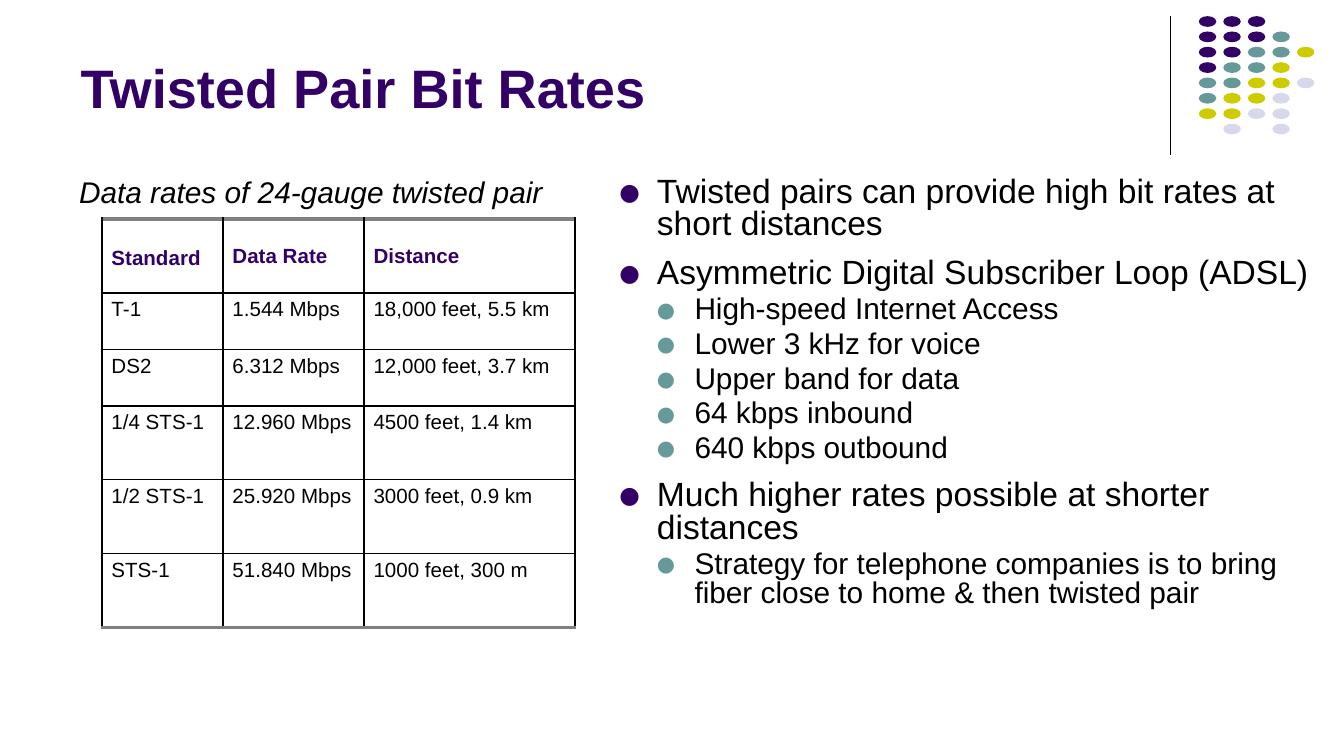
"""Build the slide on twisted pair bit rates."""
import pptx
import pptx.util
import pptx.dml.color
import pptx.enum.shapes
import pptx.enum.text
import pptx.oxml
import pptx.oxml.ns
from lxml import etree

Inches, Pt = pptx.util.Inches, pptx.util.Pt
RGBColor = pptx.dml.color.RGBColor
ANCHOR = pptx.enum.text.MSO_ANCHOR

PURPLE = RGBColor(0x33, 0x00, 0x66)
TEAL = RGBColor(0x66, 0x99, 0x99)
OLIVE = RGBColor(0xCC, 0xCC, 0x00)
LILAC = RGBColor(0xD8, 0xD8, 0xEC)
BLACK = RGBColor(0x00, 0x00, 0x00)
GRAY = RGBColor(0x80, 0x80, 0x80)

TITLE = "Twisted Pair Bit Rates"
CAPTION = "Data rates of 24-gauge twisted pair"
RATES = [
    ("Standard", "Data Rate", "Distance"),
    ("T-1", "1.544 Mbps", "18,000 feet, 5.5 km"),
    ("DS2", "6.312 Mbps", "12,000 feet, 3.7 km"),
    ("1/4 STS-1", "12.960 Mbps", "4500 feet, 1.4 km"),
    ("1/2 STS-1", "25.920 Mbps", "3000 feet, 0.9 km"),
    ("STS-1", "51.840 Mbps", "1000 feet, 300 m"),
]
COLUMN_WIDTHS = [0.9, 1.05, 1.57]
ROW_HEIGHTS = [0.55, 0.42, 0.42, 0.55, 0.55, 0.55]
POINTS = [
    (0, "Twisted pairs can provide high bit rates at short distances"),
    (0, "Asymmetric Digital Subscriber Loop (ADSL)"),
    (1, "High-speed Internet Access"),
    (1, "Lower 3 kHz for voice"),
    (1, "Upper band for data"),
    (1, "64 kbps inbound"),
    (1, "640 kbps outbound"),
    (0, "Much higher rates possible at shorter distances"),
    (1, "Strategy for telephone companies is to bring fiber close to home & then twisted pair"),
]
LEVELS = [
    {"size": 18, "before": 9, "bullet": PURPLE},
    {"size": 16, "before": 3.2, "bullet": TEAL},
]
INDENT = 0.28
DOT_ROWS = ["PPP", "PPPT", "PPTTO", "PTTO", "TTOOL", "TOOL", "OOLL", " L L"]
DOT_COLORS = {"P": PURPLE, "T": TEAL, "O": OLIVE, "L": LILAC}
DOT_LEFT, DOT_TOP = 8.92, 0.12
DOT_PITCH_X, DOT_PITCH_Y = 0.73 / 4, 0.8 / 7


def set_font(paragraph, size, color, bold=False, italic=False):
    font = paragraph.font
    font.name, font.size = "Arial", Pt(size)
    font.bold, font.italic = bold, italic
    font.color.rgb = color


def add_text_box(slide, left, top, width, height):
    frame = slide.shapes.add_textbox(*map(Inches, (left, top, width, height))).text_frame
    frame.word_wrap = True
    return frame


def add_bullet(paragraph, level):
    properties = paragraph._p.get_or_add_pPr()
    properties.set("marL", str(Inches(INDENT * (level + 1))))
    properties.set("indent", str(-Inches(INDENT)))
    qn = pptx.oxml.ns.qn
    color = etree.SubElement(properties, qn("a:buClr"))
    etree.SubElement(color, qn("a:srgbClr"), val=str(LEVELS[level]["bullet"]))
    etree.SubElement(properties, qn("a:buSzPct"), val="70000")
    etree.SubElement(properties, qn("a:buFont"), typeface="Noto Sans Symbols")
    etree.SubElement(properties, qn("a:buChar"), char="●")


def add_borders(cell, top, bottom):
    properties = cell._tc.get_or_add_tcPr()
    thin = (BLACK, 1)
    for side, (color, width) in zip("LRTB", (thin, thin, top, bottom)):
        properties.append(pptx.oxml.parse_xml(
            f'<a:ln{side} {pptx.oxml.ns.nsdecls("a")} w="{Pt(width)}">'
            f'<a:solidFill><a:srgbClr val="{color}"/></a:solidFill></a:ln{side}>'))


def add_decoration(slide):
    divider = slide.shapes.add_connector(
        pptx.enum.shapes.MSO_CONNECTOR.STRAIGHT,
        Inches(8.71), Inches(0.12), Inches(8.71), Inches(1.15))
    divider.line.color.rgb = BLACK
    divider.line.width = Pt(0.75)
    etree.SubElement(divider._element.spPr, pptx.oxml.ns.qn("a:effectLst"))
    for row, letters in enumerate(DOT_ROWS):
        for column, letter in enumerate(letters):
            if letter in DOT_COLORS:
                dot = slide.shapes.add_shape(
                    pptx.enum.shapes.MSO_SHAPE.OVAL,
                    Inches(DOT_LEFT + column * DOT_PITCH_X),
                    Inches(DOT_TOP + row * DOT_PITCH_Y),
                    Inches(0.13), Inches(0.08))
                dot.shadow.inherit = False
                dot.fill.solid()
                dot.fill.fore_color.rgb = DOT_COLORS[letter]
                dot.line.fill.background()


def add_title(slide):
    title = slide.shapes.title
    title.left, title.top, title.width, title.height = map(Inches, (0.5, 0.1, 8.25, 0.84))
    title.text_frame.text = TITLE
    title.text_frame.vertical_anchor = ANCHOR.BOTTOM
    paragraph = title.text_frame.paragraphs[0]
    paragraph.alignment = pptx.enum.text.PP_ALIGN.LEFT
    set_font(paragraph, 29, PURPLE, bold=True)


def add_points(slide):
    frame = add_text_box(slide, 4.51, 1.27, 5.34, 3.41)
    for index, (level, text) in enumerate(POINTS):
        paragraph = frame.add_paragraph() if index else frame.paragraphs[0]
        paragraph.text = text
        paragraph.level = level
        add_bullet(paragraph, level)
        paragraph.line_spacing = 0.8
        if index:
            paragraph.space_before = Pt(LEVELS[level]["before"])
        set_font(paragraph, LEVELS[level]["size"], BLACK)


def add_caption(slide):
    frame = add_text_box(slide, 0.49, 1.24, 3.79, 0.37)
    frame.vertical_anchor = ANCHOR.MIDDLE
    frame.text = CAPTION
    set_font(frame.paragraphs[0], 16, BLACK, italic=True)


def add_rates(slide):
    table = slide.shapes.add_table(
        len(RATES), len(COLUMN_WIDTHS), Inches(0.76), Inches(1.63),
        Inches(sum(COLUMN_WIDTHS)), Inches(sum(ROW_HEIGHTS))).table
    table.horz_banding = False
    for column, width in zip(table.columns, COLUMN_WIDTHS):
        column.width = Inches(width)
    last = len(RATES) - 1
    for index, (values, height) in enumerate(zip(RATES, ROW_HEIGHTS)):
        table.rows[index].height = Inches(height)
        header = index == 0
        for cell, value in zip(table.rows[index].cells, values):
            cell.text = value
            cell.margin_left = cell.margin_right = Inches(0.07)
            cell.margin_top = cell.margin_bottom = Inches(0.04)
            cell.vertical_anchor = ANCHOR.MIDDLE if header else ANCHOR.TOP
            add_borders(cell, (GRAY, 2) if header else (BLACK, 1),
                        (GRAY, 2) if index == last else (BLACK, 1))
            cell.fill.background()
            set_font(cell.text_frame.paragraphs[0], 11, PURPLE if header else BLACK, bold=header)
    table.cell(0, 0).margin_top = Inches(0.08)


def main():
    presentation = pptx.Presentation()
    presentation.slide_width = Inches(10)
    presentation.slide_height = presentation.slide_width * 9 // 16
    slide = presentation.slides.add_slide(presentation.slide_layouts[5])
    add_decoration(slide)
    add_title(slide)
    add_points(slide)
    add_caption(slide)
    add_rates(slide)
    presentation.save("out.pptx")


if __name__ == "__main__":
    main()
